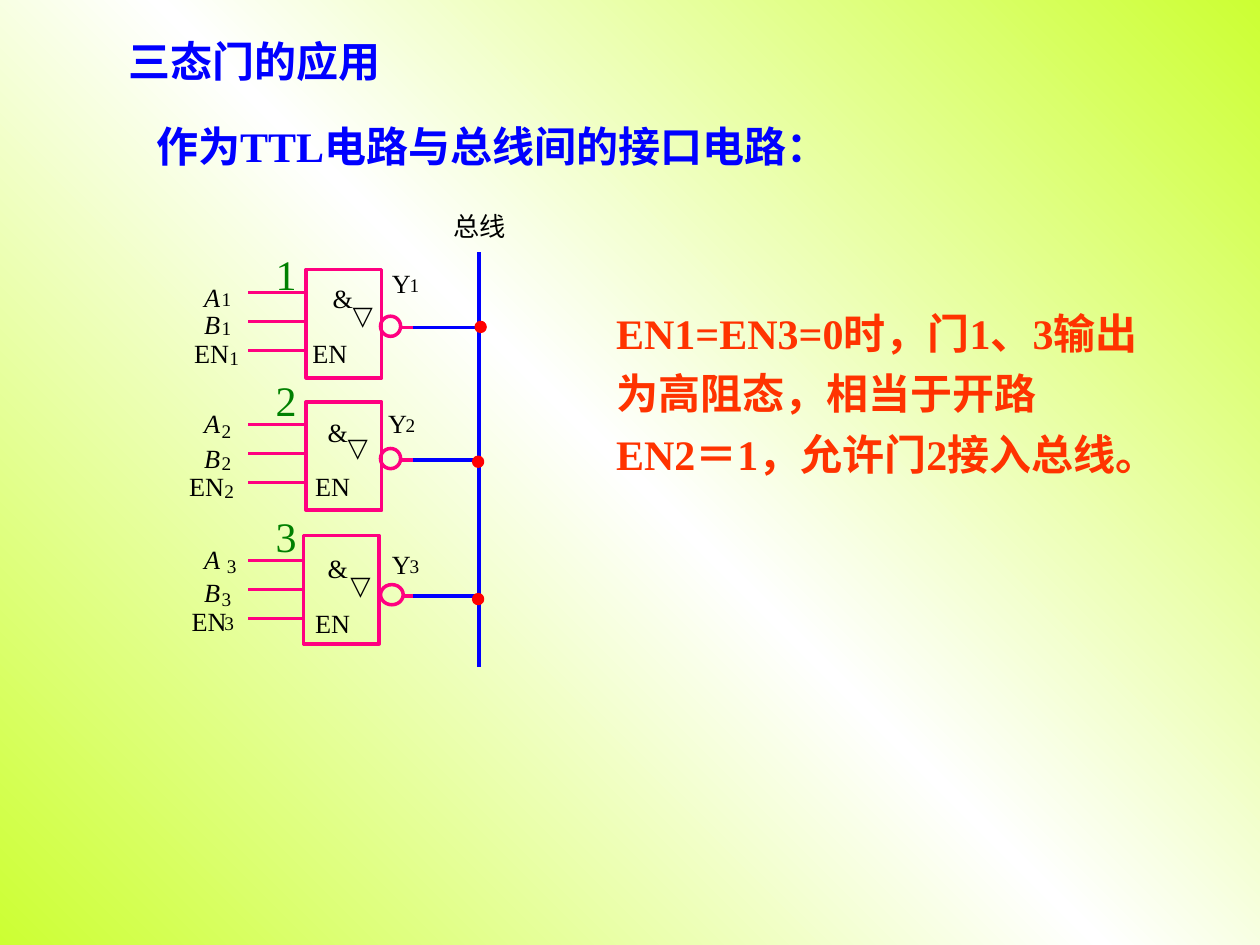
import copy

import pptx
import pptx.dml.color
import pptx.enum.shapes
import pptx.enum.text
import pptx.oxml.ns
import pptx.util
from pptx.util import Inches

BLUE = pptx.dml.color.RGBColor(0x00, 0x00, 0xFF)
ORANGE = pptx.dml.color.RGBColor(0xFF, 0x33, 0x00)
PINK = pptx.dml.color.RGBColor(0xFF, 0x00, 0x80)
RED = pptx.dml.color.RGBColor(0xFF, 0x00, 0x00)
GREEN = pptx.dml.color.RGBColor(0x00, 0x80, 0x00)
BLACK = pptx.dml.color.RGBColor(0x00, 0x00, 0x00)
LIME = pptx.dml.color.RGBColor(0xCC, 0xFF, 0x33)
WHITE = pptx.dml.color.RGBColor(0xFF, 0xFF, 0xFF)
LATIN = "Times New Roman"
CHINESE = "Noto Sans CJK SC"

presentation = pptx.Presentation()
presentation.slide_width = Inches(10)
presentation.slide_height = Inches(7.5)
slide = presentation.slides.add_slide(presentation.slide_layouts[1])


def add_text(text, left, top, width, height, shape=None, size=15, color=BLACK,
             font=LATIN, bold=False, italic=False, margins=(0, 0),
             line_spacing=1.0, wrap=False, anchor="TOP"):
    box = (Inches(left), Inches(top), Inches(width), Inches(height))
    if shape is None:
        shape = slide.shapes.add_textbox(*box)
    shape.left, shape.top, shape.width, shape.height = box
    frame = shape.text_frame
    frame.text = text
    frame.word_wrap = wrap
    frame.auto_size = pptx.enum.text.MSO_AUTO_SIZE.NONE
    frame.vertical_anchor = pptx.enum.text.MSO_ANCHOR[anchor]
    frame.margin_left = frame.margin_right = Inches(margins[0])
    frame.margin_top = frame.margin_bottom = Inches(margins[1])
    for paragraph in frame.paragraphs:
        paragraph.alignment = pptx.enum.text.PP_ALIGN.LEFT
        paragraph.line_spacing = line_spacing
        paragraph.space_before = pptx.util.Pt(0)
        for run in paragraph.runs:
            run.font.size = pptx.util.Pt(size)
            run.font.name = font
            run.font.bold = bold
            run.font.italic = italic
            run.font.color.rgb = color
            east_asian = pptx.oxml.parse_xml(
                f'<a:ea {pptx.oxml.ns.nsdecls("a")} typeface="{CHINESE}"/>')
            run.font._element.find(pptx.oxml.ns.qn("a:latin")).addnext(east_asian)
    return shape


def add_wire(start_x, start_y, end_x, end_y, color):
    wire = slide.shapes.add_connector(
        pptx.enum.shapes.MSO_CONNECTOR.STRAIGHT,
        Inches(start_x), Inches(start_y), Inches(end_x), Inches(end_y))
    wire.line.color.rgb = color
    wire.line.width = pptx.util.Pt(2)
    wire._element.spPr.append(
        pptx.oxml.parse_xml(f'<a:effectLst {pptx.oxml.ns.nsdecls("a")}/>'))


background = slide.background.fill
background.gradient()
background.gradient_angle = 225
first_stop = background.gradient_stops[0]._gs
first_stop.addnext(copy.deepcopy(first_stop))
for stop, position, color in zip(background.gradient_stops, (0, 0.5, 1), (LIME, WHITE, LIME)):
    stop.position = position
    stop.color.rgb = color
    stop.color.brightness = 0

add_text("三态门的应用", 0.92, 0.17, 3.83, 0.58, shape=slide.shapes.title, size=24,
         color=BLUE, font=CHINESE, bold=True, margins=(0.1, 0.05),
         line_spacing=1.1, wrap=True, anchor="MIDDLE")
add_text("作为TTL电路与总线间的接口电路：", 1.14, 0.91, 6.92, 0.5, size=24,
         color=BLUE, bold=True, margins=(0.1, 0.05), wrap=True)
explanation = add_text(
    "EN1=EN3=0时，门1、3输出\n为高阻态，相当于开路\nEN2＝1，允许门2接入总线。",
    4.79, 2.31, 4.89, 1.54, shape=slide.placeholders[1], size=24, color=ORANGE,
    bold=True, margins=(0.1, 0.05), line_spacing=1.2)
for paragraph in explanation.text_frame.paragraphs:
    properties = paragraph._p.get_or_add_pPr()
    properties.set("marL", "0")
    properties.set("indent", "0")
    properties.append(
        pptx.oxml.parse_xml(f'<a:buNone {pptx.oxml.ns.nsdecls("a")}/>'))

add_text("总线", 3.6, 1.67, 0.42, 0.25, font=CHINESE)
add_wire(3.8, 2, 3.8, 5.29, BLUE)

OVAL = pptx.enum.shapes.MSO_SHAPE.OVAL
RECTANGLE = pptx.enum.shapes.MSO_SHAPE.RECTANGLE
gates = [
    dict(number="1", wire_y=2.32, body=(2.43, 2.14), bubble_width=0.16,
         dot=(3.78, 2.56), number_y=1.92, output=(3.11, 2.12),
         enable=(2.48, 2.68), ampersand=(2.64, 2.24), triangle=(2.8, 2.43),
         inputs=[("A", 1.62, 2.23, 1.76, 2.28), ("B", 1.62, 2.45, 1.76, 2.51),
                 ("EN", 1.54, 2.68, 1.82, 2.75)]),
    dict(number="2", wire_y=3.37, body=(2.43, 3.19), bubble_width=0.16,
         dot=(3.76, 3.63), number_y=2.92, output=(3.08, 3.23),
         enable=(2.5, 3.73), ampersand=(2.6, 3.3), triangle=(2.76, 3.48),
         inputs=[("A", 1.62, 3.23, 1.76, 3.33), ("B", 1.62, 3.51, 1.76, 3.58),
                 ("EN", 1.5, 3.73, 1.78, 3.8)]),
    dict(number="3", wire_y=4.45, body=(2.41, 4.25), bubble_width=0.18,
         dot=(3.76, 4.72), number_y=4, output=(3.11, 4.35),
         enable=(2.5, 4.82), ampersand=(2.6, 4.38), triangle=(2.78, 4.57),
         inputs=[("A", 1.62, 4.31, 1.8, 4.4), ("B", 1.62, 4.57, 1.76, 4.66),
                 ("EN", 1.52, 4.8, 1.78, 4.85)]),
]
for gate in gates:
    number = gate["number"]
    wire_y = gate["wire_y"]
    output_y = wire_y + 0.28
    bubble_width = gate["bubble_width"]
    for row in range(3):
        add_wire(1.97, wire_y + row * 0.23, 2.42, wire_y + row * 0.23, PINK)
    add_wire(3.02 + bubble_width, output_y, 3.37, output_y, PINK)
    add_wire(3.28, output_y, 3.8, output_y, BLUE)

    outlines = [
        (RECTANGLE, *gate["body"], 0.6, 0.86, PINK),
        (OVAL, 3.02, wire_y + 0.19, bubble_width, 0.16, PINK),
        (OVAL, *gate["dot"], 0.07, 0.07, RED),
    ]
    for kind, left, top, width, height, color in outlines:
        shape = slide.shapes.add_shape(
            kind, Inches(left), Inches(top), Inches(width), Inches(height))
        shape.shadow.inherit = False
        shape.line.color.rgb = color
        shape.line.width = pptx.util.Pt(2)
        if color == RED:
            shape.fill.solid()
            shape.fill.fore_color.rgb = RED
        else:
            shape.fill.background()

    for name, left, top, index_left, index_top in gate["inputs"]:
        add_text(name, left, top, 0.28 if name == "EN" else 0.13, 0.25,
                 italic=name != "EN")
        add_text(number, index_left, index_top, 0.08, 0.18, size=11)
    add_text("EN", *gate["enable"], 0.28, 0.25)
    add_text("&", *gate["ampersand"], 0.16, 0.25)
    add_text("△", *gate["triangle"], 0.16, 0.25).rotation = 180
    output_left, output_top = gate["output"]
    add_text("Y", output_left, output_top, 0.15, 0.25)
    add_text(number, output_left + 0.14, output_top + 0.05, 0.08, 0.18, size=11)
    add_text(number, 2.09, gate["number_y"], 0.36, 0.5, size=24, color=GREEN,
             margins=(0.1, 0.05))

presentation.save("out.pptx")
